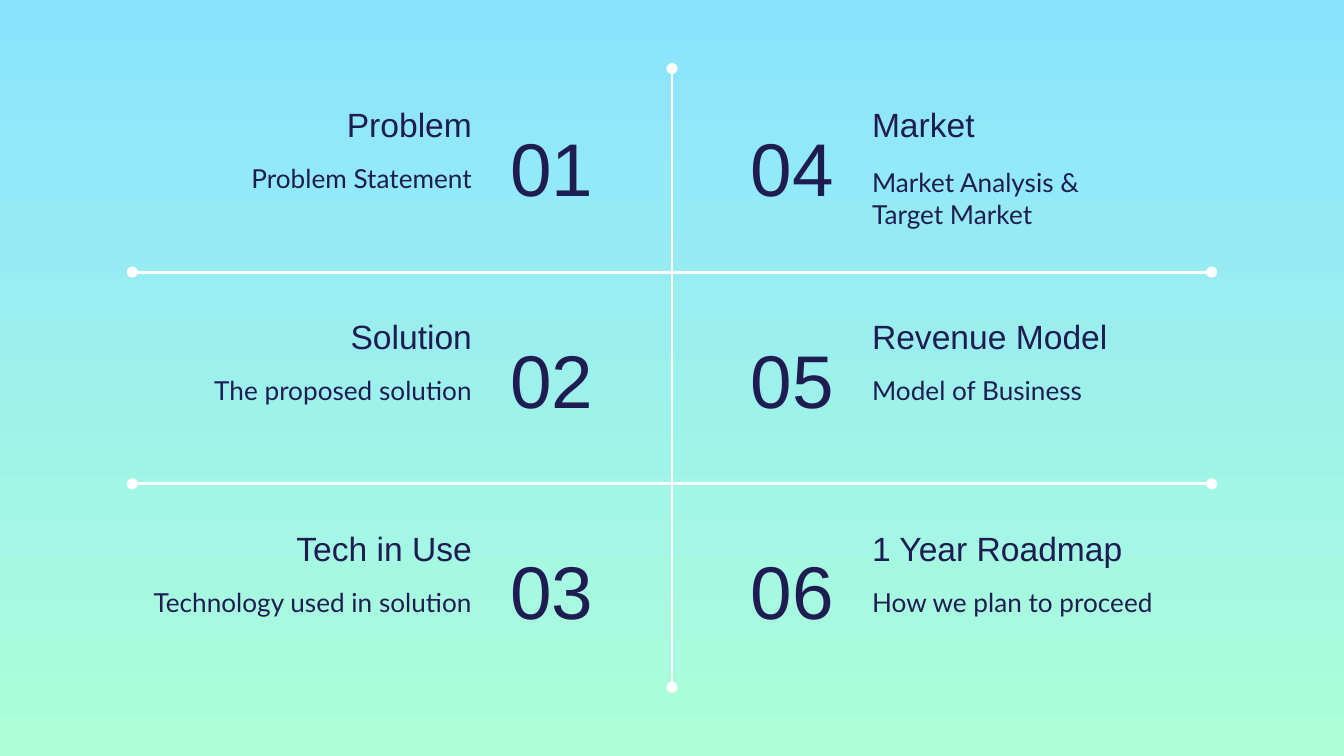
from lxml import etree
from pptx import Presentation
from pptx.dml.color import RGBColor
from pptx.enum.shapes import MSO_CONNECTOR
from pptx.enum.text import MSO_ANCHOR, PP_ALIGN
from pptx.oxml.ns import qn
from pptx.util import Pt

PX = 4572
LEFT, RIGHT = PP_ALIGN.LEFT, PP_ALIGN.RIGHT
TOP, MIDDLE, BOTTOM = MSO_ANCHOR.TOP, MSO_ANCHOR.MIDDLE, MSO_ANCHOR.BOTTOM
STRAIGHT = MSO_CONNECTOR.STRAIGHT
SKY = RGBColor(0x8B, 0xE3, 0xFF)
MINT = RGBColor(0xAC, 0xFF, 0xD9)
NAVY = RGBColor(0x1F, 0x1C, 0x51)
WHITE = RGBColor(0xFF, 0xFF, 0xFF)

WIDTH, HEIGHT = 2000, 1125
CELL_WIDTH, ROW_PITCH, FIRST_ROW = 874, 315, 135
LEFT_CELL, RIGHT_CELL = 126, 1000
NUMBER_WIDTH, LABEL_WIDTH = 260, 596

LEFT_TOPICS = [
    ("01", "Problem", ["Problem Statement"]),
    ("02", "Solution", ["The proposed solution"]),
    ("03", "Tech in Use", ["Technology used in solution"]),
]
RIGHT_TOPICS = [
    ("04", "Market", ["Market Analysis &", "Target Market"]),
    ("05", "Revenue Model", ["Model of Business"]),
    ("06", "1 Year Roadmap", ["How we plan to proceed"]),
]


def paint_background(slide):
    """Fill the slide with a gradient from sky at the top to mint."""
    fill = slide.background.fill
    fill.gradient()
    fill.gradient_angle = 270
    for stop, color in zip(fill.gradient_stops, (SKY, MINT)):
        stop.color.rgb = color


def add_text(slide, box, lines, font_name, size, align, anchor):
    """Place lines of text, one paragraph each, in box."""
    frame = slide.shapes.add_textbox(*(length * PX for length in box)).text_frame
    frame.word_wrap = True
    frame.vertical_anchor = anchor
    frame.margin_left = frame.margin_right = 20 * PX
    frame.margin_top = frame.margin_bottom = 20 * PX
    frame.text = "\n".join(lines)
    for paragraph in frame.paragraphs:
        paragraph.alignment = align
        paragraph.font.name = font_name
        paragraph.font.size = Pt(size)
        paragraph.font.color.rgb = NAVY


def add_divider(slide, x1, y1, x2, y2):
    """Draw a white line with a dot at each end."""
    divider = slide.shapes.add_connector(STRAIGHT, x1 * PX, y1 * PX, x2 * PX, y2 * PX)
    divider.line.color.rgb = WHITE
    divider.line.width = Pt(1.5)
    properties = divider._element.spPr
    outline = properties.find(qn("a:ln"))
    for end in ("a:headEnd", "a:tailEnd"):
        etree.SubElement(outline, qn(end), type="oval")
    etree.SubElement(properties, qn("a:effectLst"))


def add_topic(slide, x, y, topic, mirrored):
    """Place a number and its labels in a cell, number on the right if mirrored."""
    number, heading, description = topic
    if mirrored:
        label_x, number_x = x, x + CELL_WIDTH - NUMBER_WIDTH
        label_align, number_align = RIGHT, LEFT
    else:
        label_x, number_x = x + CELL_WIDTH - LABEL_WIDTH, x
        label_align, number_align = LEFT, RIGHT
    if len(description) == 1:
        description_box = (label_x, y + 87, LABEL_WIDTH, 138)
    else:
        description_box = (label_x, y + 93, LABEL_WIDTH + 28, 134)
    add_text(slide, (number_x, y + 27, NUMBER_WIDTH, 172), [number],
             "Arial", 40, number_align, MIDDLE)
    add_text(slide, (label_x, y, LABEL_WIDTH, 100), [heading],
             "Arial", 18, label_align, BOTTOM)
    add_text(slide, description_box, description, "Lato", 14, label_align, TOP)


def add_contents(slide):
    """Lay out the two columns of topics and the lines between them."""
    add_divider(slide, 1000, 102, 1000, 1023)
    for y in (405, 405 + ROW_PITCH):
        add_divider(slide, 197, y, 1803, y)
    for x, topics, mirrored in ((LEFT_CELL, LEFT_TOPICS, True),
                                (RIGHT_CELL, RIGHT_TOPICS, False)):
        for row, topic in enumerate(topics):
            add_topic(slide, x, FIRST_ROW + row * ROW_PITCH, topic, mirrored)


def main():
    """Build and save the contents slide."""
    presentation = Presentation()
    presentation.slide_width = WIDTH * PX
    presentation.slide_height = HEIGHT * PX
    slide = presentation.slides.add_slide(presentation.slide_layouts[6])
    paint_background(slide)
    add_contents(slide)
    presentation.save("out.pptx")


if __name__ == "__main__":
    main()
